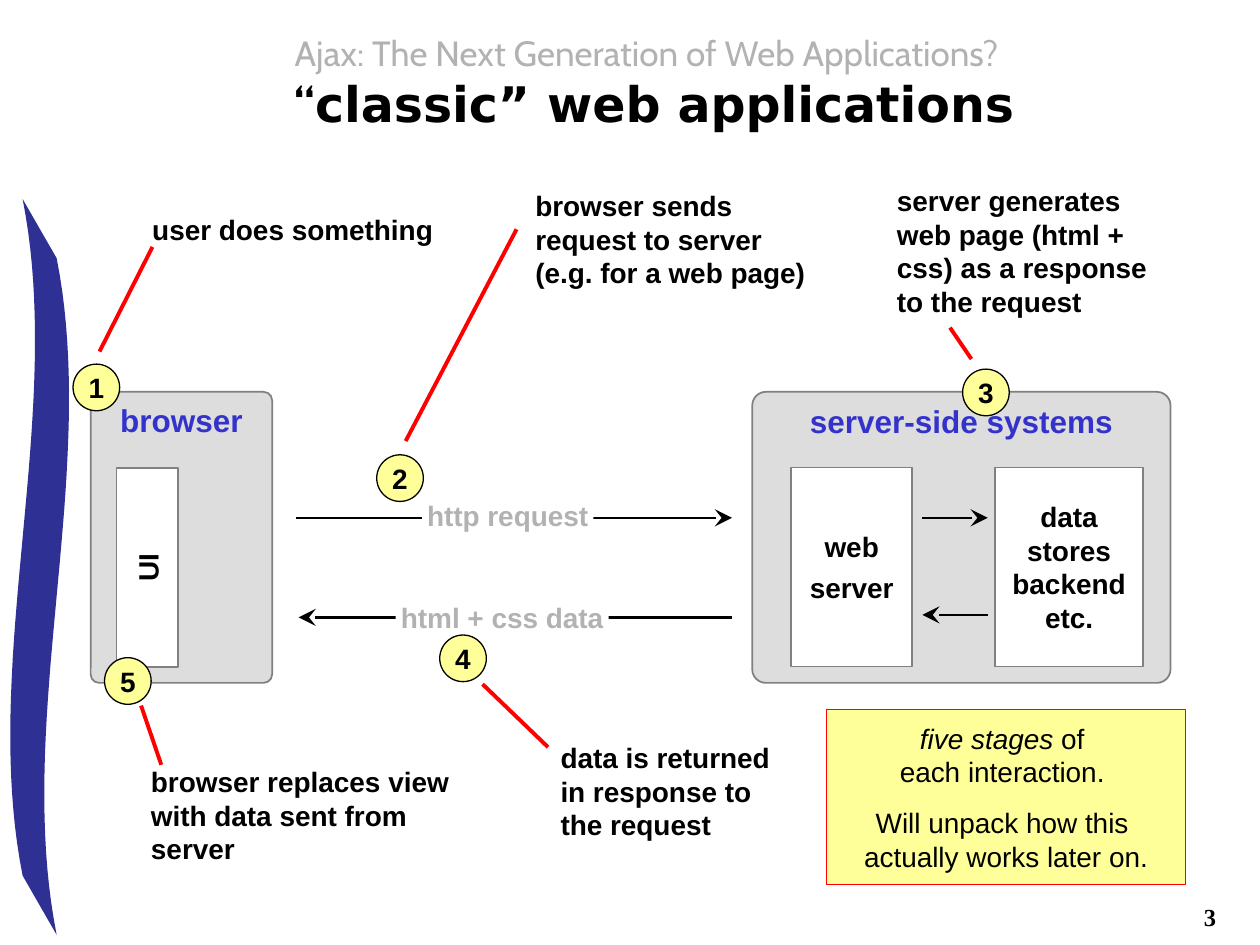
from lxml import etree
from pptx import Presentation, util as u
from pptx.dml.color import RGBColor
from pptx.enum import shapes, text
from pptx.oxml.ns import qn

BLACK, WHITE, GREY, BLUE = "000000", "FFFFFF", "B2B2B2", "3333CC"
RED, YELLOW, PANEL, EDGE, NAVY = "FF0000", "FFFF99", "DDDDDD", "808080", "2F3093"
RECT, ROUND, OVAL = (shapes.MSO_SHAPE.RECTANGLE, shapes.MSO_SHAPE.ROUNDED_RECTANGLE,
                     shapes.MSO_SHAPE.OVAL)
CENTER, LEFT, RIGHT = text.PP_ALIGN.CENTER, text.PP_ALIGN.LEFT, text.PP_ALIGN.RIGHT
TOP, MIDDLE = text.MSO_ANCHOR.TOP, text.MSO_ANCHOR.MIDDLE
BADGE = 0.37

# A paragraph is a list of (text, format changes); "\n" alone is a line break.
TITLE = [[("Ajax: The Next Generation of Web Applications?",
           dict(size=20, color=GREY, bold=False)), ("\n", {}),
          ("“", {}), ("classic” web applications", dict(font="DejaVu Sans"))]]
NOTE = [[("five stages", dict(italic=True)), (" of ", {}), ("\n", {}),
         ("each interaction. ", {})],
        [("Will unpack how this ", {}), ("\n", {}), ("actually works later on.", {})]]

# name, box
PANELS = [("server-side systems", (5.97, 3.11, 3.32, 2.31)),
          ("browser", (0.72, 3.11, 1.44, 2.31))]
# name, box, rotation
PARTS = [("data stores backend etc.", (7.9, 3.71, 1.17, 1.58), 0),
         ("web\nserver", (6.28, 3.71, 0.96, 1.58), 0),
         ("UI", (0.38, 4.26, 1.58, 0.49), 270)]
ARROWS = [((7.84, 4.88), (7.32, 4.88)), ((7.32, 4.11), (7.84, 4.11)),
          ((2.35, 4.11), (5.81, 4.11)), ((5.81, 4.9), (2.37, 4.9))]
LABELS = [("http request", (3.35, 3.91, 1.36, 0.37)),
          ("html + css data", (3.14, 4.72, 1.69, 0.37))]

# words, their box, badge corner, pointer start and end
STAGES = [
    ("user does something", (1.11, 1.64, 2.59, 0.37), (0.58, 2.89),
     (1.21, 1.96), (0.79, 2.79)),
    ("browser sends request to server (e.g. for a web page)", (4.15, 1.45, 2.42, 0.9),
     (2.99, 3.61), (4.1, 1.82), (3.22, 3.5)),
    ("server generates web page (html + css) as a response to the request",
     (7.02, 1.41, 2.42, 1.17), (7.64, 2.93), (7.54, 2.6), (7.71, 2.85)),
    ("data is returned in response to the request", (4.35, 5.83, 2.05, 0.9),
     (3.49, 5.04), (3.83, 5.43), (4.35, 5.93)),
    ("browser replaces view with data sent from server", (1.1, 6.02, 2.7, 0.9),
     (0.83, 5.22), (1.12, 5.6), (1.28, 6.07)),
]
WAVE_RIGHT = [(0.45, 2.05), (0.79, 3.76), (0.11, 5.7), (0.45, 7.42)]
WAVE_LEFT = [(0.18, 6.95), (-0.16, 5.24), (0.52, 3.3), (0.18, 1.58)]


def rgb(value):
    return RGBColor.from_string(value)


def inches(values):
    return [u.Inches(value) for value in values]


def write(box, words, size=16, color=BLACK, bold=True, italic=False, font="Arial",
          align=CENTER, anchor=MIDDLE, wrap=True, before=4, insets=(0.1, 0.05)):
    """Fill a box with a string, or with paragraphs of (text, changes)."""
    if isinstance(words, str):
        words = [[(line, {})] for line in words.split("\n")]
    frame = box.text_frame
    frame.word_wrap = wrap
    frame.vertical_anchor = anchor
    frame.margin_left = frame.margin_right = u.Inches(insets[0])
    frame.margin_top = frame.margin_bottom = u.Inches(insets[1])
    base = dict(size=size, color=color, bold=bold, italic=italic, font=font)
    for index, parts in enumerate(words):
        para = frame.add_paragraph() if index else frame.paragraphs[0]
        para.alignment = align
        if index:
            para.space_before = u.Pt(before)
        for content, changes in parts:
            if content == "\n":
                para.add_line_break()
                continue
            look = {**base, **changes}
            span = para.add_run()
            span.text = content
            span.font.name, span.font.size = look["font"], u.Pt(look["size"])
            span.font.bold, span.font.italic = look["bold"], look["italic"]
            span.font.color.rgb = rgb(look["color"])


def paint(shape, fill, line=None, width=1):
    shape.shadow.inherit = False
    shape.fill.solid()
    shape.fill.fore_color.rgb = rgb(fill)
    if line:
        shape.line.color.rgb = rgb(line)
        shape.line.width = u.Pt(width)
    else:
        shape.line.fill.background()


def add_box(page, kind, place, fill, line=None, width=1):
    box = page.shapes.add_shape(kind, *inches(place))
    paint(box, fill, line, width)
    return box


def add_text(page, words, place, **look):
    write(page.shapes.add_textbox(*inches(place)), words, **look)


def add_line(page, start, end, color, width, arrow=False):
    line = page.shapes.add_connector(shapes.MSO_CONNECTOR.STRAIGHT, *inches(start + end))
    line.line.color.rgb = rgb(color)
    line.line.width = u.Pt(width)
    if arrow:
        etree.SubElement(line.line._get_or_add_ln(), qn("a:tailEnd"),
                         type="stealth", w="lg", len="lg")
    etree.SubElement(line._element.spPr, qn("a:effectLst"))


def curve(points, steps=40):
    """Points along a cubic Bezier curve."""
    for step in range(steps + 1):
        t = step / steps
        weights = ((1 - t) ** 3, 3 * t * (1 - t) ** 2, 3 * t * t * (1 - t), t ** 3)
        yield [sum(w * p[axis] for w, p in zip(weights, points)) for axis in (0, 1)]


def add_wave(page):
    outline = [inches(point) for side in (WAVE_RIGHT, WAVE_LEFT) for point in curve(side)]
    builder = page.shapes.build_freeform(*outline[0])
    builder.add_line_segments(outline[1:], close=True)
    paint(builder.convert_to_shape(), NAVY)


def main():
    deck = Presentation()
    deck.slide_width, deck.slide_height = inches((10, 7.5))
    page = deck.slides.add_slide(deck.slide_layouts[6])

    add_wave(page)
    add_text(page, TITLE, (2.24, 0.2, 7.35, 0.9), size=28, font="Cabin", align=LEFT)

    for name, place in PANELS:
        panel = add_box(page, ROUND, place, PANEL, EDGE)
        panel.adjustments[0] = 0.047
        write(panel, name, size=18, color=BLUE, anchor=TOP, wrap=False, insets=(0.1, 0.05))
    for name, place, turn in PARTS:
        part = add_box(page, RECT, place, WHITE, EDGE)
        part.rotation = turn
        write(part, name)
    for start, end in ARROWS:
        add_line(page, start, end, BLACK, 1.5, arrow=True)
    for name, place in LABELS:
        label = add_box(page, RECT, place, WHITE)
        write(label, name, color=GREY, anchor=TOP, wrap=False, insets=(0.04, 0.05))

    for number, (words, place, corner, start, end) in enumerate(STAGES, 1):
        badge = add_box(page, OVAL, corner + (BADGE, BADGE), YELLOW, BLACK, 0.75)
        write(badge, str(number), wrap=False)
        add_text(page, words, place, align=LEFT, anchor=TOP)
        add_line(page, start, end, RED, 2.25)

    note = add_box(page, RECT, (6.56, 5.63, 2.85, 1.39), YELLOW, RED)
    write(note, NOTE, bold=False, wrap=False, before=10)
    add_text(page, "3", (8.63, 7.11, 1.12, 0.34), size=14, font="Times New Roman",
             align=RIGHT, anchor=TOP)
    deck.save("out.pptx")


if __name__ == "__main__":
    main()
